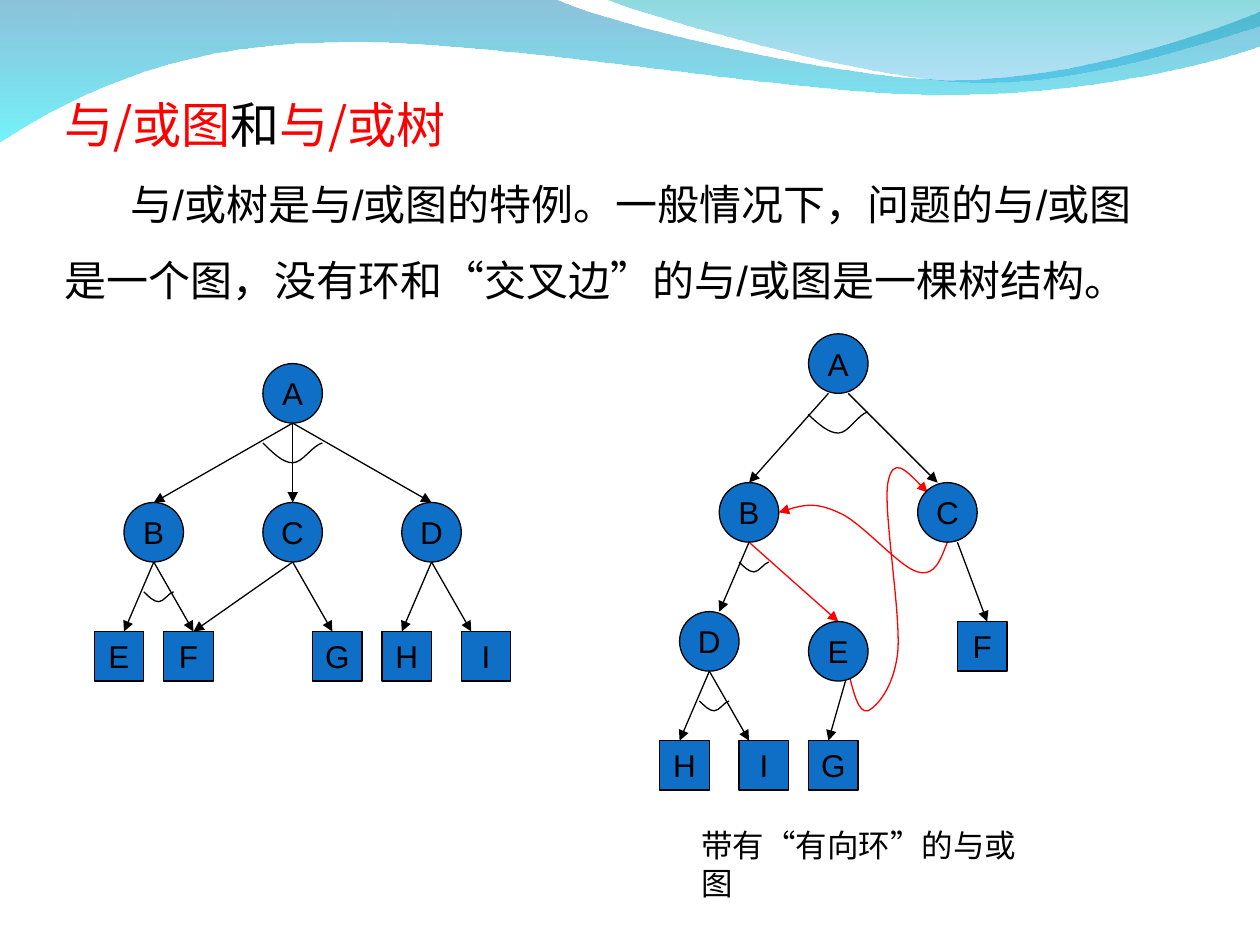
from lxml.etree import SubElement
from pptx import Presentation
from pptx.dml.color import RGBColor
from pptx.enum.shapes import MSO_CONNECTOR as Connector, MSO_SHAPE as Shape
from pptx.enum.text import MSO_ANCHOR as Anchor, PP_ALIGN as Align
from pptx.oxml.ns import qn
from pptx.util import Cm, Pt

BLACK = RGBColor(0x00, 0x00, 0x00)
RED = RGBColor(0xFF, 0x00, 0x00)
BLUE = RGBColor(0x0F, 0x6F, 0xC6)
DEEP_BLUE = RGBColor(0x00, 0x79, 0xAF)
AQUA = RGBColor(0x00, 0xEB, 0xF8)
TEAL = RGBColor(0x00, 0xAD, 0xB6)
SKY = RGBColor(0x00, 0x9B, 0xE5)
CJK, LATIN = "Noto Sans CJK SC", "Arial"

TITLE = [("与/或图", CJK, RED), ("和", LATIN, BLACK), ("与/或树", CJK, RED)]
BODY = ("与/或树是与/或图的特例。一般情况下，问题的与/或图是一个图，"
        "没有环和“交叉边”的与/或图是一棵树结构。")
CAPTION = "带有“有向环”的与或图"

WAVES = [
    ([[(0, -0.03)], [(11.18, -0.03)],
      [(12.09, 0.43), (16.87, 1.6), (19.25, 1.6)],
      [(21.67, 1.6), (24.33, 0.66), (25.4, 0.23)],
      [(25.43, 0.91)],
      [(24.97, 1.12), (22.1, 1.93), (18.95, 1.91)],
      [(15.75, 1.91), (9.7, 0.71), (6.53, 0.86)],
      [(3.28, 0.89), (1.17, 2.11), (-0.03, 2.87)]],
     [(DEEP_BLUE, 45), (AQUA, 55)]),
    ([[(12.17, -0.03)],
      [(12.93, 0.28), (17.32, 1.57), (19.53, 1.65)],
      [(21.74, 1.75), (24.41, 0.81), (25.4, 0.53)],
      [(25.4, 0)]],
     [(TEAL, 45), (SKY, 30)]),
]

UNIT = 0.2
CIRCLE, SQUARE = 6, 5
ARC = [[(0, 0)], [(1, 1), (2, 2), (3, 2)], [(4, 2), (5, 0.25), (6, 0)]]
GRAPHS = [
    {
        "origin": (1.9, 7.33),
        "circles": [("A", 17, 0), ("B", 3, 14), ("C", 17, 14), ("D", 31, 14)],
        "squares": [("E", 0, 27), ("F", 7, 27), ("G", 22, 27),
                    ("H", 29, 27), ("I", 37, 27)],
        "edges": [(20, 6, 6, 14), (20, 6, 20, 14), (20, 6, 34, 14),
                  (6, 20, 3, 27), (34, 20, 31, 27), (6, 20, 10, 27),
                  (20, 20, 24, 27), (34, 20, 38, 27), (20, 20, 10, 27)],
        "red_edges": [],
        "arcs": [(17, 8, 1, 0), (5, 23, 0.5, 0)],
        "loops": [],
    },
    {
        "origin": (13.3, 6.73),
        "circles": [("A", 15, 0), ("B", 6, 15), ("C", 26, 15),
                    ("D", 2, 28), ("E", 15, 29)],
        "squares": [("F", 30, 29), ("G", 15, 41), ("H", 0, 41), ("I", 8, 41)],
        "edges": [(17, 6, 9, 15), (19, 6, 28, 15), (9, 21, 6, 28),
                  (5, 34, 2, 41), (30, 21, 33, 29), (5, 34, 9, 41),
                  (19, 34, 17, 41)],
        "red_edges": [(9, 21, 18, 29)],
        "arcs": [(15, 8, 1, -2.5), (8, 23, 0.5, 0), (4, 37, 0.5, 0)],
        "loops": [
            [[(19, 34)],
             [(19.5, 36), (20, 38.3), (21, 38)],
             [(21.8, 37.6), (23.6, 35.8), (24, 32)],
             [(24.3, 28), (22.5, 17.7), (23, 15)],
             [(23.5, 12.3), (25.2, 14.1), (27, 16)]],
            [[(29, 21)],
             [(28.3, 22.7), (27.8, 24.5), (26, 24)],
             [(24.1, 23.5), (20.3, 18.9), (18, 18)],
             [(15.6, 16.9), (13.8, 17.4), (12, 18)]],
        ],
    },
]


def draw_curve(page, segments, left=0, top=0, scale=1, close=False):
    points = [(Cm(left + x * scale), Cm(top + y * scale))
              for segment in segments for x, y in segment]
    builder = page.shapes.build_freeform(*points[0], scale=1.0)
    builder.add_line_segments(points[1:], close=close)
    curve = builder.convert_to_shape()
    curve.shadow.inherit = False
    lines = iter(list(curve._element.iter(qn("a:lnTo"))))
    for segment in segments[1:]:
        first, *others = [next(lines) for _ in segment]
        if others:
            bezier = first.makeelement(qn("a:cubicBezTo"))
            first.addprevious(bezier)
            for line in (first, *others):
                bezier.append(line[0])
                line.getparent().remove(line)
    return curve


def style_line(shape, color, arrow=False):
    shape.line.color.rgb = color
    shape.line.width = Pt(0.75)
    if arrow:
        SubElement(shape.line._get_or_add_ln(), qn("a:tailEnd"), type="triangle")


def style_font(font, size, name=LATIN, color=BLACK):
    font.size, font.name = Pt(size), name
    font.color.rgb = color


def add_wave(page, segments, stops):
    wave = draw_curve(page, segments, close=True)
    wave.line.fill.background()
    wave.fill.gradient()
    wave.fill.gradient_angle = 270
    for stop, (color, opacity) in zip(wave.fill.gradient_stops, stops):
        stop.color.rgb = color
        SubElement(stop._gs.find(qn("a:srgbClr")), qn("a:alpha"), val=str(opacity * 1000))


def add_text_box(page, left, top, width, height):
    box = page.shapes.add_textbox(Cm(left), Cm(top), Cm(width), Cm(height))
    box.text_frame.word_wrap = True
    return box.text_frame


def add_node(page, kind, label, x, y, size):
    node = page.shapes.add_shape(kind, Cm(x), Cm(y), Cm(size), Cm(size))
    node.shadow.inherit = False
    node.fill.solid()
    node.fill.fore_color.rgb = BLUE
    style_line(node, BLACK)
    frame = node.text_frame
    frame.word_wrap = False
    frame.vertical_anchor = Anchor.MIDDLE
    para = frame.paragraphs[0]
    para.text = label
    para.alignment = Align.CENTER
    style_font(para.font, 18)
    return node


def add_graph(page, graph):
    left, top = graph["origin"]

    def place(x, y):
        return left + x * UNIT, top + y * UNIT

    arrows = []
    for key, color in (("edges", BLACK), ("red_edges", RED)):
        for x1, y1, x2, y2 in graph[key]:
            ends = [Cm(value) for value in place(x1, y1) + place(x2, y2)]
            arrow = page.shapes.add_connector(Connector.STRAIGHT, *ends)
            style_line(arrow, color, arrow=True)
            SubElement(arrow._element.spPr, qn("a:effectLst"))
            arrows.append((arrow, (x2, y2)))
    for x, y, scale, turn in graph["arcs"]:
        arc = draw_curve(page, ARC, *place(x, y), scale * UNIT)
        arc.fill.background()
        arc.rotation = turn
        style_line(arc, BLACK)
    for segments in graph["loops"]:
        loop = draw_curve(page, segments, left, top, UNIT)
        loop.fill.background()
        style_line(loop, RED, arrow=True)
    tops = {}
    for key, kind, size in (("circles", Shape.OVAL, CIRCLE), ("squares", Shape.RECTANGLE, SQUARE)):
        for label, x, y in graph[key]:
            tops[x + size / 2, y] = add_node(page, kind, label, *place(x, y), size * UNIT)
    for arrow, tip in arrows:
        if tip in tops:
            arrow.end_connect(tops[tip], 0)


def main():
    deck = Presentation()
    deck.slide_width, deck.slide_height = Cm(25.4), Cm(19.05)
    page = deck.slides.add_slide(deck.slide_layouts[6])
    for segments, stops in WAVES:
        add_wave(page, segments, stops)

    frame = add_text_box(page, 1.05, 1.79, 22.43, 4.5)
    title = frame.paragraphs[0]
    for text, name, color in TITLE:
        span = title.add_run()
        span.text = text
        style_font(span.font, 28, name, color)
    body = frame.add_paragraph()
    body.text = BODY
    body.line_spacing = 1.5
    settings = body._p.get_or_add_pPr()
    settings.set("indent", str(Cm(1.33)))
    settings.set("hangingPunct", "0")
    style_font(body.font, 24)

    for graph in GRAPHS:
        add_graph(page, graph)

    caption = add_text_box(page, 13.89, 16.53, 7.39, 1.78).paragraphs[0]
    caption.text = CAPTION
    style_font(caption.font, 18)
    deck.save("out.pptx")


if __name__ == "__main__":
    main()
